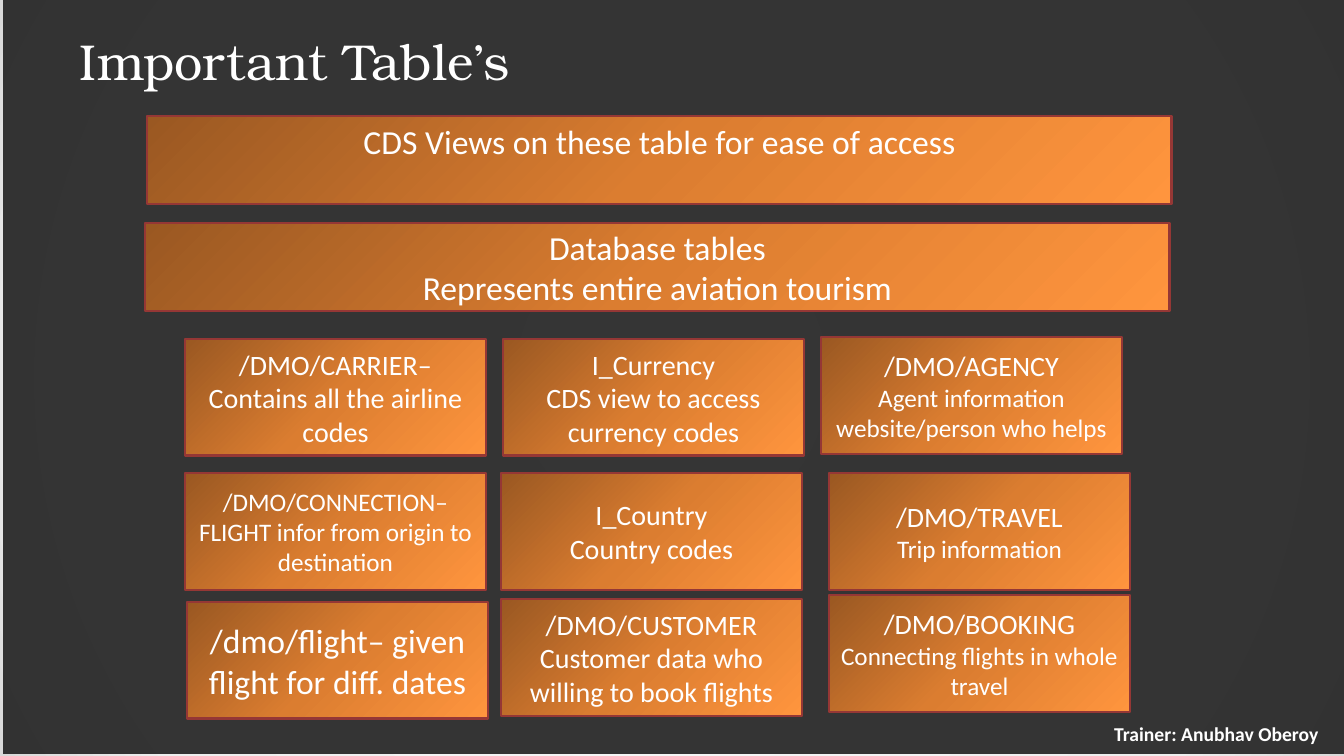
from dataclasses import dataclass

from lxml.etree import SubElement
from pptx import Presentation
from pptx.dml.color import RGBColor
from pptx.enum.shapes import MSO_SHAPE
from pptx.enum.text import MSO_ANCHOR, PP_ALIGN
from pptx.oxml.ns import qn
from pptx.util import Emu, Pt

EMU_PER_PX = 914400 / 100.8


@dataclass(frozen=True)
class Theme:
    white: str = "FFFFFF"
    veil: str = "262626"
    border: str = "953735"
    backdrop: tuple = ((0, "FFFFFF"), (81, "EEEEEE"), (100, "D9D9D9"))
    orange: tuple = ((0, "9A5822"), (50, "DB7D30"), (100, "FF953E"))
    heading_font: str = "TeX Gyre Bonum"
    body_font: str = "Calibri"
    heading: int = 36
    large: int = 24
    medium: int = 20
    small: int = 18
    credit: int = 14


THEME = Theme()
BANNER_SIZE = (1025, 88)
CARD_SIZE = (301, 117)

# left, top, lines of (wording, type size)
CARDS = [
    (185, 339, [("/DMO/CARRIER– Contains all the airline codes", THEME.medium)]),
    (185, 473, [("/DMO/CONNECTION– FLIGHT infor from origin to destination", THEME.small)]),
    (187, 602, [("/dmo/flight– given flight for diff. dates", THEME.large)]),
    (503, 339, [("I_Currency", THEME.medium),
                ("CDS view to access currency codes", THEME.medium)]),
    (501, 473, [("I_Country", THEME.medium), ("Country codes", THEME.medium)]),
    (501, 599, [("/DMO/CUSTOMER", THEME.medium),
                ("Customer data who willing to book flights", THEME.medium)]),
    (821, 337, [("/DMO/AGENCY", THEME.medium),
                ("Agent information website/person who helps", THEME.small)]),
    (829, 473, [("/DMO/TRAVEL", THEME.medium), ("Trip information", THEME.small)]),
    (829, 595, [("/DMO/BOOKING", THEME.medium),
                ("Connecting flights in whole travel", THEME.small)]),
]


def px(length):
    return Emu(round(length * EMU_PER_PX))


def rgb(colour):
    return RGBColor.from_string(colour)


def set_gradient(fill, owner, stops, angle=None):
    """Fill with colour stops, along a clockwise angle or outward from the centre."""
    fill.gradient()
    gradient = next(owner.iter(qn("a:gradFill")))
    for part in list(gradient):
        gradient.remove(part)
    stop_list = SubElement(gradient, qn("a:gsLst"))
    for percent, colour in stops:
        stop = SubElement(stop_list, qn("a:gs"), pos=str(percent * 1000))
        SubElement(stop, qn("a:srgbClr"), val=colour)
    if angle is None:
        radial = SubElement(gradient, qn("a:path"), {"path": "circle"})
        SubElement(radial, qn("a:fillToRect"),
                   {side: "50000" for side in "ltrb"})
    else:
        SubElement(gradient, qn("a:lin"), ang=str(angle * 60000), scaled="0")


def write_lines(frame, lines, font=THEME.body_font, align=PP_ALIGN.CENTER,
                anchor=MSO_ANCHOR.MIDDLE, bold=False):
    frame.word_wrap = True
    frame.vertical_anchor = anchor
    for index, (wording, size) in enumerate(lines):
        paragraph = frame.add_paragraph() if index else frame.paragraphs[0]
        paragraph.alignment = align
        run = paragraph.add_run()
        run.text = wording
        run.font.name = font
        run.font.size = Pt(size)
        run.font.bold = bold
        run.font.color.rgb = rgb(THEME.white)


def add_rectangle(slide, left, top, width, height):
    rectangle = slide.shapes.add_shape(
        MSO_SHAPE.RECTANGLE, px(left), px(top), px(width), px(height))
    rectangle.shadow.inherit = False
    return rectangle


def add_veil(slide):
    """Lay the nearly opaque dark sheet over the light background."""
    veil = add_rectangle(slide, 3, -2, 1344, 756)
    veil.line.fill.background()
    veil.fill.solid()
    veil.fill.fore_color.rgb = rgb(THEME.veil)
    colour = next(veil.element.spPr.iter(qn("a:srgbClr")))
    SubElement(colour, qn("a:alpha"), val="93000")


def add_panel(slide, left, top, size, lines, anchor=MSO_ANCHOR.MIDDLE):
    panel = add_rectangle(slide, left, top, *size)
    set_gradient(panel.fill, panel.element.spPr, THEME.orange, angle=45)
    panel.line.color.rgb = rgb(THEME.border)
    panel.line.width = Pt(2)
    write_lines(panel.text_frame, lines, anchor=anchor)


def add_label(slide, left, top, width, height, wording, size, **style):
    label = slide.shapes.add_textbox(px(left), px(top), px(width), px(height))
    frame = label.text_frame
    frame.margin_left = frame.margin_right = px(13)
    frame.margin_top = frame.margin_bottom = px(7)
    write_lines(frame, [(wording, size)], **style)


def main():
    deck = Presentation()
    deck.slide_width, deck.slide_height = px(1344), px(756)
    slide = deck.slides.add_slide(deck.slide_layouts[6])
    set_gradient(slide.background.fill, slide.element, THEME.backdrop)
    add_veil(slide)
    add_label(slide, 67, 21, 1210, 79, "Important Table’s", THEME.heading,
              font=THEME.heading_font, align=PP_ALIGN.LEFT)
    add_label(slide, 1093, 714, 247, 39, "Trainer: Anubhav Oberoy",
              THEME.credit, bold=True)
    add_panel(slide, 145, 223, BANNER_SIZE,
              [("Database tables", THEME.large),
               ("Represents entire aviation tourism", THEME.large)])
    add_panel(slide, 147, 116, BANNER_SIZE,
              [("CDS Views on these table for ease of access", THEME.large)],
              anchor=MSO_ANCHOR.TOP)
    for left, top, lines in CARDS:
        add_panel(slide, left, top, CARD_SIZE, lines)
    deck.save("out.pptx")


if __name__ == "__main__":
    main()
